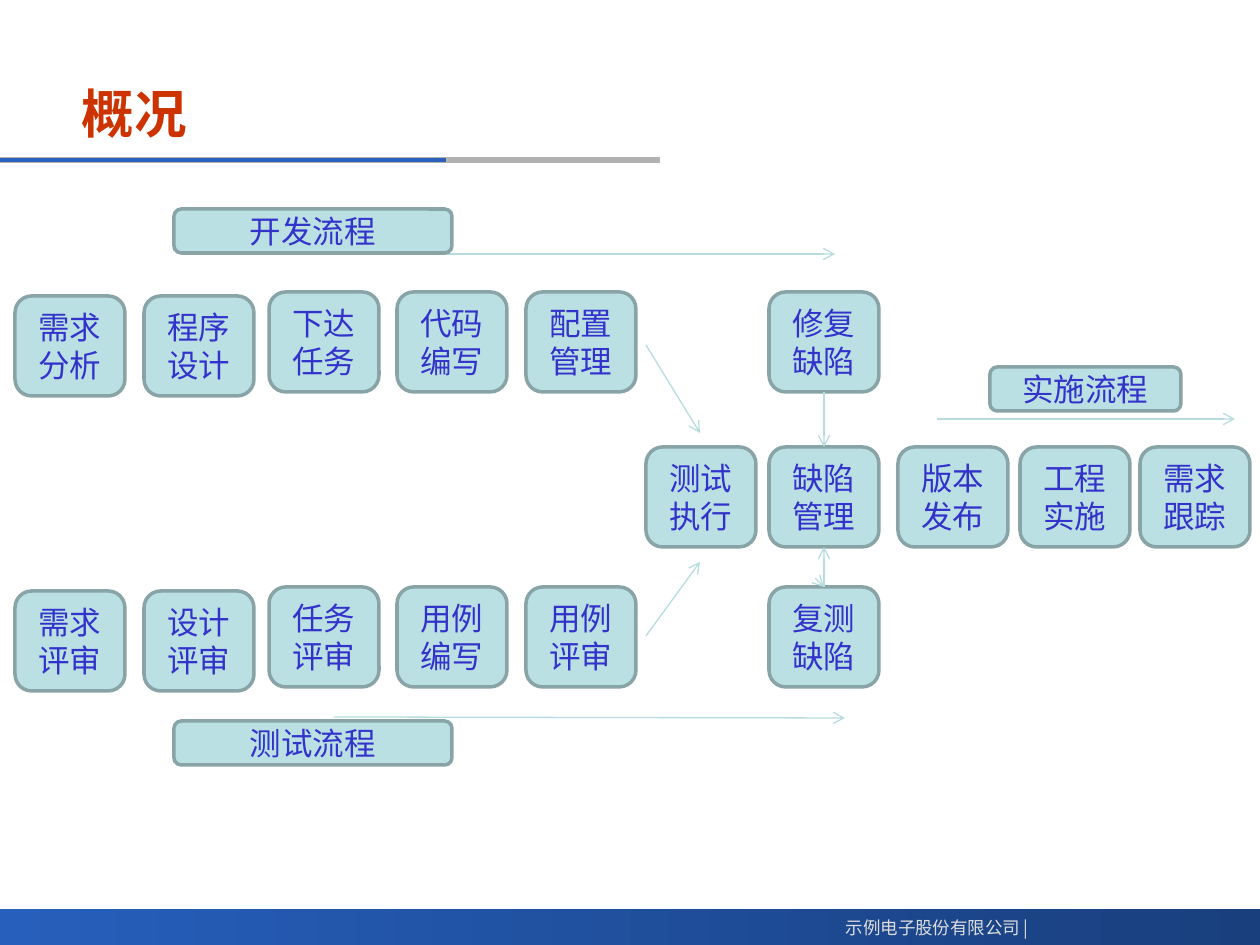
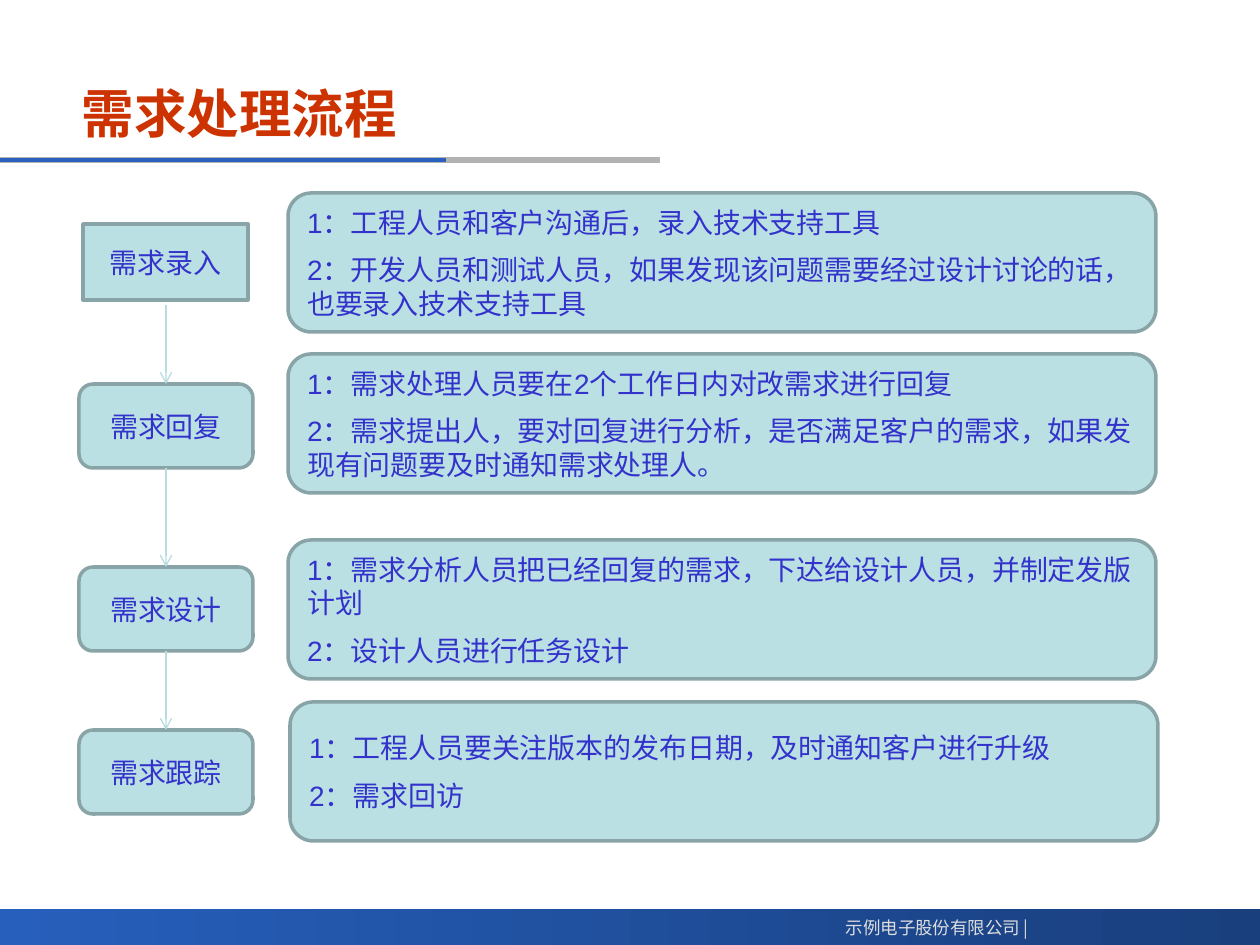
from dataclasses import dataclass
from pptx import Presentation
from pptx import util as u
from pptx.dml.color import RGBColor
from pptx.enum import shapes, text
from pptx.oxml import ns
from lxml import etree


# Theme: colours, fonts and sizes
@dataclass(frozen=True)
class Theme:
    title: str = "CC3300"
    ink: str = "3333CC"
    box: str = "BBE0E3"
    edge: str = "89A4A7"
    link: str = "B6DCDF"
    blue: str = "2A60C0"
    grey: str = "B2B2B2"
    band: tuple = ("265FBC", "193F7D")
    pale: str = "DDDDDD"
    font: str = "Arial"
    foot: str = "Noto Sans CJK SC"
    head: float = 30
    big: float = 18
    mid: float = 16
    small: float = 10
    rim: float = 2
    thin: float = 0.75


T = Theme()
SCALE = u.Inches(1) // 126
WIDE, HIGH = 1260, 945
FOOT = "示例电子股份有限公司 |"

# Content of slide 1: the steps of three processes
NAME_1 = "概况"
COLS = [15, 144, 269, 397, 526, 769]
DROPS = [4, 4, 0, 0, 0, 0]
TOP, STEP_H, STEP_W, FALL = 292, 100, 110, 295
BUILD = ["需求分析", "程序设计", "下达任务", "代码编写", "配置管理", "修复\n缺陷"]
TEST = ["需求评审", "设计评审", "任务评审", "用例\n编写", "用例评审", "复测缺陷"]
ROLL_Y = 447
ROLL = [(646, "测试\n执行"), (769, "缺陷管理"), (898, "版本发布"),
        (1020, "工程实施"), (1140, "需求跟踪")]
HEADS = [("开发流程", 174, 209, 278), ("测试流程", 174, 721, 278),
         ("实施流程", 990, 367, 191)]
HEAD_H = 44
UNDER = [(324, 254, 835, 254)]
OVER = [(334, 717, 845, 718), (646, 345, 700, 433), (646, 636, 700, 562),
        (824, 392, 824, 447), (823, 586, 824, 587), (824, 587, 824, 547),
        (937, 419, 1235, 419)]

# Content of slide 2: stage, its box, its notes and where they start
NAME_2 = "需求处理流程"
STAGES = [
    ("需求录入", (83, 224, 165, 76), (288, 193),
     "1：工程人员和客户沟通后，录入技术支持工具\n"
     "2：开发人员和测试人员，如果发现该问题需要经过设计讨论的话，也要录入技术支持工具"),
    ("需求回复", (79, 384, 174, 84), (288, 354),
     "1：需求处理人员要在2个工作日内对改需求进行回复\n"
     "2：需求提出人，要对回复进行分析，是否满足客户的需求，如果发现有问题要及时通知需求处理人。"),
    ("需求设计", (79, 567, 174, 84), (288, 540),
     "1：需求分析人员把已经回复的需求，下达给设计人员，并制定发版计划\n"
     "2：设计人员进行任务设计"),
    ("需求跟踪", (79, 730, 174, 84), (290, 702),
     "1：工程人员要关注版本的发布日期，及时通知客户进行升级\n"
     "2：需求回访"),
]
NOTE_W, NOTE_H = 868, 139
SPINE = 166


# Helpers
def px(*vals):
    return [int(v * SCALE) for v in vals]


def rgb(code):
    return RGBColor.from_string(code)


def write(shape, words, size, color=T.ink, font=T.font, bold=False,
          align=text.PP_ALIGN.CENTER, gap=0, wrap=True):
    frame = shape.text_frame
    frame.word_wrap = wrap
    frame.vertical_anchor = text.MSO_ANCHOR.MIDDLE
    frame.text = words
    for para in frame.paragraphs:
        para.alignment = align
        para.space_before = para.space_after = u.Pt(gap)
        face = para.runs[0].font
        face.name, face.size, face.bold = font, u.Pt(size), bold
        face.color.rgb = rgb(color)


def box(slide, words, at, size, round=True, **form):
    kind = shapes.MSO_SHAPE.ROUNDED_RECTANGLE if round else shapes.MSO_SHAPE.RECTANGLE
    shape = slide.shapes.add_shape(kind, *px(*at))
    shape.shadow.inherit = False
    shape.fill.solid()
    shape.fill.fore_color.rgb = rgb(T.box)
    shape.line.color.rgb = rgb(T.edge)
    shape.line.width = u.Pt(T.rim)
    write(shape, words, size, **form)


def line(slide, ends, color=T.link, width=T.thin, arrow=True):
    item = slide.shapes.add_connector(shapes.MSO_CONNECTOR.STRAIGHT, *px(*ends))
    item.line.color.rgb = rgb(color)
    item.line.width = u.Pt(width)
    if arrow:
        tip = etree.SubElement(item.line._get_or_add_ln(), ns.qn("a:tailEnd"))
        tip.set("type", "arrow")
    etree.SubElement(item._element.spPr, ns.qn("a:effectLst"))


def start(deck, name):
    """Add a slide with the band, rules, footer and title."""
    slide = deck.slides.add_slide(deck.slide_layouts[5])
    band = slide.shapes.add_shape(shapes.MSO_SHAPE.RECTANGLE, *px(0, 909, WIDE, 36))
    band.shadow.inherit = False
    band.line.fill.background()
    band.fill.gradient()
    band.fill.gradient_angle = 0
    for stop, color, spot in zip(band.fill.gradient_stops, T.band, (0, 1)):
        stop.color.rgb = rgb(color)
        stop.position = spot
    line(slide, (0, 160, 660, 160), T.grey, 3, arrow=False)
    line(slide, (0, 160, 446, 160), T.blue, 2.25, arrow=False)
    foot = slide.shapes.add_textbox(*px(820, 911, 221, 34))
    write(foot, FOOT, T.small, color=T.pale, font=T.foot,
          align=text.PP_ALIGN.RIGHT, wrap=False)
    title = slide.shapes.title
    title.left, title.top, title.width, title.height = px(69, 71, 872, 84)
    write(title, name, T.head, color=T.title, bold=True, align=text.PP_ALIGN.LEFT)
    return slide


deck = Presentation()
deck.slide_width, deck.slide_height = px(WIDE, HIGH)

# Slide 1: process map
slide = start(deck, NAME_1)
for ends in UNDER:
    line(slide, ends)
for row, names in enumerate((BUILD, TEST)):
    for x, drop, name in zip(COLS, DROPS, names):
        box(slide, name, (x, TOP + row * FALL + drop, STEP_W, STEP_H), T.big)
for x, name in ROLL:
    box(slide, name, (x, ROLL_Y, STEP_W, STEP_H), T.big)
for name, x, y, wide in HEADS:
    box(slide, name, (x, y, wide, HEAD_H), T.big)
for ends in OVER:
    line(slide, ends)

# Slide 2: stages with notes
slide = start(deck, NAME_2)
for i, (name, at, spot, notes) in enumerate(STAGES):
    box(slide, name, at, T.mid, round=i > 0, gap=4)
    box(slide, notes, (*spot, NOTE_W, NOTE_H), T.mid, gap=4,
        align=text.PP_ALIGN.LEFT)
for i, (above, below) in enumerate(zip(STAGES, STAGES[1:])):
    low = above[1][1] + above[1][3] + (5 if i == 0 else 0)
    line(slide, (SPINE, low, SPINE, below[1][1]))

deck.save("out.pptx")
